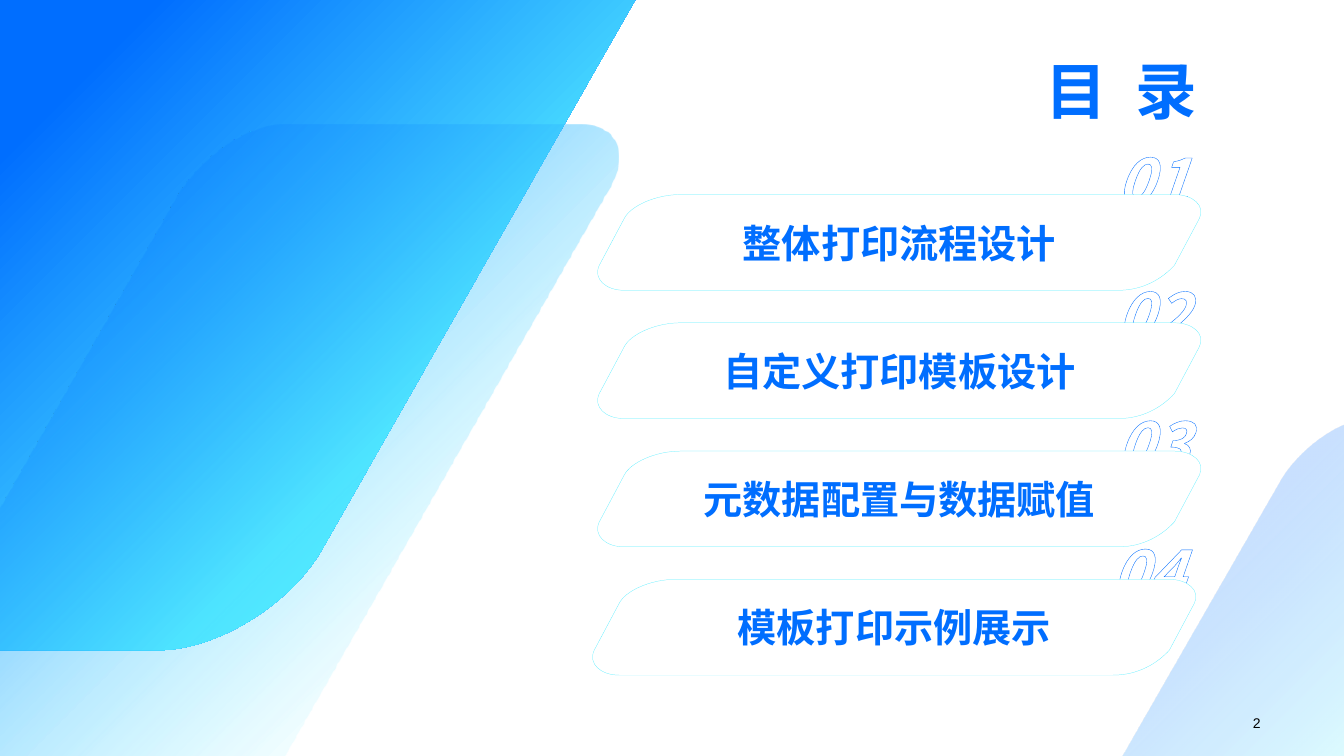
from dataclasses import dataclass

from lxml import etree
from pptx import Presentation
from pptx.dml.color import RGBColor
from pptx.enum.text import MSO_ANCHOR, PP_ALIGN
from pptx.oxml.ns import qn
from pptx.util import Inches, Pt

RIGHT, CENTER = PP_ALIGN.RIGHT, PP_ALIGN.CENTER
TOP, MIDDLE = MSO_ANCHOR.TOP, MSO_ANCHOR.MIDDLE


@dataclass(frozen=True)
class Theme:
    blue: str = "006EFF"
    cyan: str = "55EEFF"
    pale: str = "8DF4FF"
    white: str = "FFFFFF"
    black: str = "000000"
    latin: str = "Arial"
    cjk: str = "Noto Sans CJK SC"
    title: int = 44
    item: int = 28
    page: int = 10


T = Theme()
WIDTH, HEIGHT = Inches(13.33), Inches(7.5)
COL, ROW = WIDTH / 1333, HEIGHT / 750  # fine layout grid

# Outlines as shares of their box: pairs are corners, sixes are Bézier curves
CORNER = [(0, 1), (.71, .17), (.77, .1, .89, .03, 1, 0), (1, 1)]
BAND = [(1, 0), (.51, .84), (.46, .93, .34, 1, .25, 1), (0, 1), (0, 0)]
PANEL = [(.46, 0), (.94, 0), (1, 0, 1.02, .05, .98, .11), (.46, 1), (0, 1),
         (0, .61), (.29, .11), (.33, .05, .4, 0, .46, 0)]
CARD = [(.94, 0), (.97, 0, .99, .12, .98, .25), (.94, .74),
        (.92, .88, .89, 1, .85, 1), (.06, 1), (.03, 1, .01, .88, .02, .74),
        (.06, .25), (.07, .12, .11, 0, .15, 0)]

# Text, shift of the card to the left, rise of the number above the card
ITEMS = [("整体打印流程设计", 0, 57), ("自定义打印模板设计", 0, 51),
         ("元数据配置与数据赋值", 0, 50), ("模板打印示例展示", 5, 50)]


def place(box):
    """Turn a box in grid units into lengths."""
    x, y, w, h = box
    return int(x * COL), int(y * ROW), int(w * COL), int(h * ROW)


def add_outline(s, box, outline):
    """Freeform of straight and curved parts that fills its box."""
    x, y, w, h = place(box)
    ends = [(x + part[-2] * w, y + part[-1] * h) for part in outline]
    builder = s.shapes.build_freeform(*ends[0], scale=1.0)
    builder.add_line_segments(ends[1:], close=True)
    sp = builder.convert_to_shape()
    sp.shadow.inherit = False
    sp.left, sp.top, sp.width, sp.height = x, y, w, h

    # Bend the curved parts and measure every point from the box
    track = next(sp._element.iter(qn("a:path")))
    track.set("w", str(w))
    track.set("h", str(h))
    for step, part in zip(list(track), outline):
        if len(part) == 6:
            curve = etree.Element(qn("a:cubicBezTo"))
            track.replace(step, curve)
            step = curve
        for pt in list(step):
            step.remove(pt)
        for px, py in zip(part[::2], part[1::2]):
            etree.SubElement(step, qn("a:pt"), x=str(int(px * w)), y=str(int(py * h)))
    return sp


def add_glow(s, box, outline, stops):
    """Outline filled with a gradient that starts at its lower right."""
    sp = add_outline(s, box, outline)
    sp.line.fill.background()
    sp.fill.gradient()
    grad = sp._element.spPr.find(qn("a:gradFill"))
    for child in list(grad):
        grad.remove(child)
    stop_list = etree.SubElement(grad, qn("a:gsLst"))
    for pos, color, alpha in stops:
        stop = etree.SubElement(stop_list, qn("a:gs"), pos=str(pos * 1000))
        clr = etree.SubElement(stop, qn("a:srgbClr"), val=color)
        etree.SubElement(clr, qn("a:alpha"), val=str(alpha * 1000))
    circle = etree.SubElement(grad, qn("a:path"), path="circle")
    etree.SubElement(circle, qn("a:fillToRect"), l="100000", t="100000")


def write(sp, text, size, color, align, font=T.latin, bold=True, anchor=TOP):
    """Set the text of a shape and return its run."""
    tf = sp.text_frame
    tf.text = text
    tf.word_wrap = True
    tf.vertical_anchor = anchor
    p = tf.paragraphs[0]
    p.alignment = align
    p.line_spacing = 1.0
    r = p.runs[0]
    r.font.size, r.font.bold, r.font.name = Pt(size), bold, font
    r.font.color.rgb = RGBColor.from_string(color)
    etree.SubElement(r._r.get_or_add_rPr(), qn("a:ea"), typeface=T.cjk)
    return r


def add_backdrop(s):
    add_glow(s, (1113, 421, 220, 329), CORNER, [(0, T.pale, 30), (60, T.blue, 21)])
    add_glow(s, (0, 0, 630, 645), BAND, [(36, T.cyan, 100), (88, T.blue, 100)])
    add_glow(s, (-1, 124, 614, 627), PANEL, [(24, T.cyan, 4), (100, T.blue, 100)])


def add_title(s, box):
    sp = s.shapes.title
    sp.left, sp.top, sp.width, sp.height = place(box)
    write(sp, "目  录", T.title, T.blue, RIGHT, T.cjk)


def add_item(s, box, number, text, rise):
    """Outlined number, half hidden behind a card."""
    x, y, w, h = box
    sp = s.shapes.add_textbox(*place((x + 455, y - rise, 152, 84)))
    r = write(sp, f"{number:02d}", T.title, T.white, RIGHT, T.cjk)
    r.font.italic = True
    ln = etree.Element(qn("a:ln"), w=str(Pt(.75)))
    fill = etree.SubElement(ln, qn("a:solidFill"))
    etree.SubElement(fill, qn("a:srgbClr"), val=T.blue)
    r._r.rPr.insert(0, ln)

    card = add_outline(s, box, CARD)
    card.fill.solid()
    card.fill.fore_color.rgb = RGBColor.from_string(T.white)
    card.line.color.rgb = RGBColor.from_string(T.cyan)
    card.line.width = Pt(.18)
    write(card, text, T.item, T.blue, CENTER, anchor=MIDDLE)


def add_agenda(s, box):
    x, y, w, h = box
    pitch = h / len(ITEMS)
    for i, (text, shift, rise) in enumerate(ITEMS):
        add_item(s, (x - shift, y + i * pitch, w, 95), i + 1, text, rise)


def add_page_number(s, box):
    sp = s.shapes.add_textbox(*place(box))
    write(sp, "2", T.page, T.black, RIGHT, bold=False)


def main():
    prs = Presentation()
    prs.slide_width, prs.slide_height = WIDTH, HEIGHT
    s = prs.slides.add_slide(prs.slide_layouts[5])
    add_backdrop(s)
    add_title(s, (723, 47, 474, 84))
    add_agenda(s, (582, 193, 620, 509))
    add_page_number(s, (969, 704, 291, 27))
    prs.save("out.pptx")


if __name__ == "__main__":
    main()
